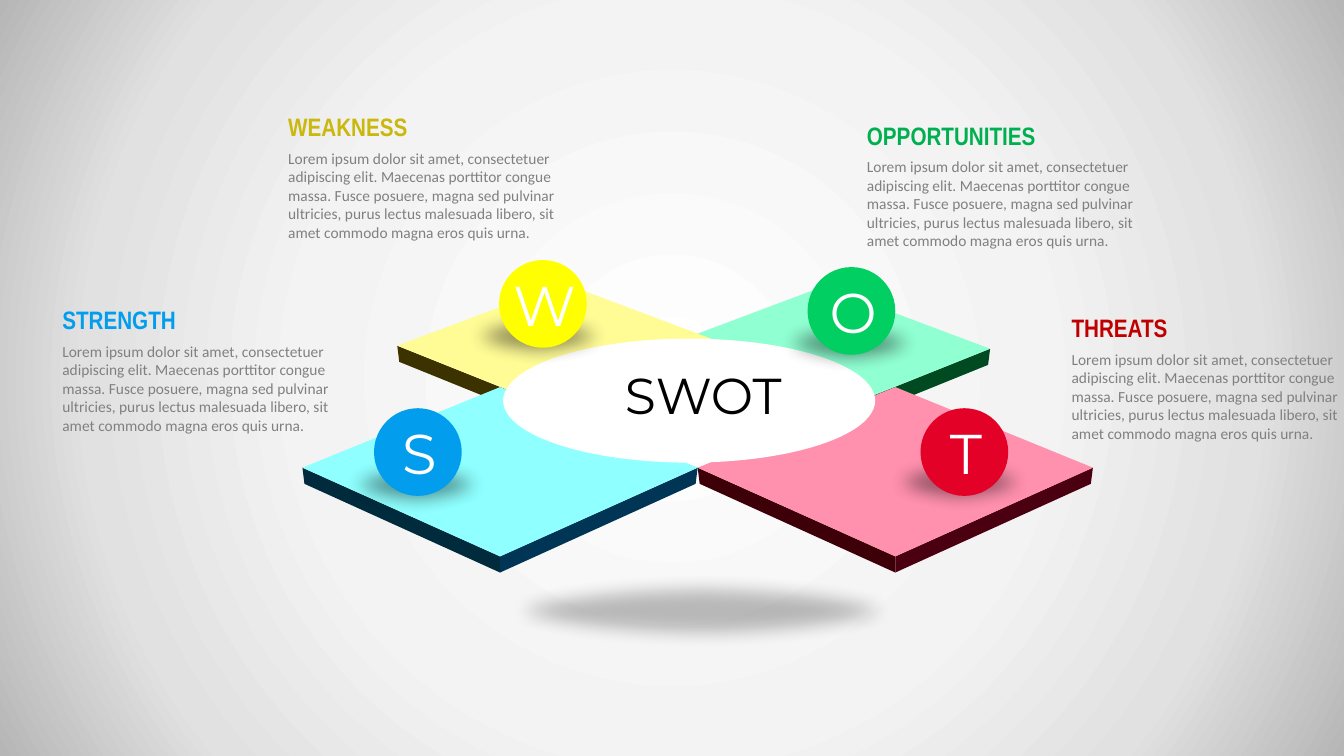
"""Build a SWOT slide with four solid tiles, lettered badges and descriptions."""
from dataclasses import dataclass

import pptx
import pptx.dml.color
import pptx.enum.shapes
import pptx.enum.text
import pptx.oxml
import pptx.oxml.ns
import pptx.util

Inches = pptx.util.Inches
Point = tuple[float, float]
OVAL = pptx.enum.shapes.MSO_SHAPE.OVAL
BLURB = ("Lorem ipsum dolor sit amet, consectetuer adipiscing elit. Maecenas porttitor "
         "congue massa. Fusce posuere, magna sed pulvinar ultricies, purus lectus malesuada "
         "libero, sit amet commodo magna eros quis urna.")


@dataclass(frozen=True)
class Theme:
    """Colours, fonts and type sizes of the slide."""
    white: str = "FFFFFF"
    black: str = "000000"
    grey: str = "808080"
    backdrop: tuple = ((0, "FFFFFF"), (48, "F3F3F3"), (76, "E1E1E1"), (100, "B6B6B6"))
    display: str = "Montserrat"
    heading: str = "Arial Narrow"
    body: str = "Calibri"
    letter_size: int = 40
    title_size: int = 36
    heading_size: int = 18
    body_size: int = 11


@dataclass(frozen=True)
class TileSize:
    """Reach of a tile from its middle to its corners, and its thickness."""
    half: float
    back: float
    front: float
    depth: float


@dataclass(frozen=True)
class Quadrant:
    """One SWOT field: its tile, badge, shadow and note."""
    name: str
    middle: Point
    size: TileSize
    top: str
    left_side: str
    right_side: str
    badge: Point
    badge_color: str
    shadow: Point
    note: Point
    note_color: str
    note_width: float = 1.57


THEME = Theme()
FAR = TileSize(1.65, 0.62, 0.66, 0.16)
NEAR = TileSize(1.96, 0.8, 0.88, 0.16)
QUADRANTS = (
    Quadrant("OPPORTUNITIES", (8.17, 3.46), FAR, "90FFD2", "00391A", "004A22",
             (8.01, 2.65), "01CF62", (7.52, 3.08), (8.5, 1.14), "00B050", 2.33),
    Quadrant("WEAKNESS", (5.59, 3.43), FAR, "FFFC96", "3B3200", "4A4000",
             (4.95, 2.58), "FFFF00", (4.43, 3.01), (2.76, 1.06), "CAB80C"),
    Quadrant("STRENGTH", (4.96, 4.64), NEAR, "8FFFFF", "002B3D", "003556",
             (3.71, 4.05), "029EED", (3.22, 4.48), (0.52, 2.97), "029EED"),
    Quadrant("THREATS", (8.88, 4.64), NEAR, "FF90AE", "3D0008", "4A0010",
             (9.13, 4.05), "E30127", (8.61, 4.46), (10.53, 3.05), "C00000"),
)


def paint(sp, color: str) -> None:
    """Give a shape a flat fill without line or shadow."""
    sp.fill.solid()
    sp.fill.fore_color.rgb = pptx.dml.color.RGBColor.from_string(color)
    sp.line.fill.background()
    sp.shadow.inherit = False


def add_oval(shapes, at: Point, size: Point, color: str):
    """Add a plain ellipse."""
    sp = shapes.add_shape(OVAL, *map(Inches, at + size))
    paint(sp, color)
    return sp


def add_shadow(shapes, at: Point, size: Point, alpha: int, blur: float) -> None:
    """Add a translucent black ellipse with soft edges."""
    sp = add_oval(shapes, at, size, THEME.black)
    ns = pptx.oxml.ns
    color = sp._element.spPr.find(ns.qn("a:solidFill"))[0]
    color.append(pptx.oxml.parse_xml(f'<a:alpha {ns.nsdecls("a")} val="{alpha * 1000}"/>'))
    effects = sp._element.spPr.find(ns.qn("a:effectLst"))
    effects.append(pptx.oxml.parse_xml(
        f'<a:softEdge {ns.nsdecls("a")} rad="{Inches(blur)}"/>'))


def add_text(shapes, text: str, *, at: Point, size: Point, font: str, points: int,
             color: str, bold: bool = False, centered: bool = False) -> None:
    """Add a text box holding one formatted paragraph."""
    tf = shapes.add_textbox(*map(Inches, at + size)).text_frame
    tf.word_wrap = True
    p = tf.paragraphs[0]
    if centered:
        p.alignment = pptx.enum.text.PP_ALIGN.CENTER
    r = p.add_run()
    r.text = text
    r.font.name, r.font.size, r.font.bold = font, pptx.util.Pt(points), bold
    r.font.color.rgb = pptx.dml.color.RGBColor.from_string(color)


def add_face(shapes, corners: list[Point], color: str) -> None:
    """Add one flat face of a tile."""
    points = [(Inches(x), Inches(y)) for x, y in corners]
    builder = shapes.build_freeform(*points[0])
    builder.add_line_segments(points[1:])
    paint(builder.convert_to_shape(), color)


def add_tile(shapes, quadrant: Quadrant) -> None:
    """Add a tile as two sides and a top."""
    (x, y), size = quadrant.middle, quadrant.size
    left, right = (x - size.half, y), (x + size.half, y)
    back, front = (x, y - size.back), (x, y + size.front)
    base = (x, front[1] + size.depth)
    for corner, inset, color in ((left, 0.02, quadrant.left_side),
                                 (right, -0.02, quadrant.right_side)):
        foot = (corner[0] + inset, y + size.depth)
        add_face(shapes, [corner, front, base, foot], color)
    add_face(shapes, [left, back, right, front], quadrant.top)


def add_badge(shapes, quadrant: Quadrant) -> None:
    """Add the round badge with the initial of the field."""
    group = shapes.add_group_shape().shapes
    x, y = quadrant.badge
    add_oval(group, (x, y), (0.87, 0.87), quadrant.badge_color)
    add_text(group, quadrant.name[0], at=(x - 0.02, y + 0.05), size=(0.94, 0.77),
             font=THEME.display, points=THEME.letter_size, color=THEME.white, centered=True)


def add_note(shapes, quadrant: Quadrant) -> None:
    """Add the heading and description of the field."""
    group = shapes.add_group_shape().shapes
    x, y = quadrant.note
    add_text(group, quadrant.name, at=(x, y), size=(quadrant.note_width, 0.4),
             font=THEME.heading, points=THEME.heading_size, color=quadrant.note_color, bold=True)
    add_text(group, BLURB, at=(x, y + 0.37), size=(3.07, 1.21),
             font=THEME.body, points=THEME.body_size, color=THEME.grey)


def set_backdrop(slide) -> None:
    """Fill the background with a circular gradient."""
    fill = slide.background.fill
    fill.solid()
    stops = "".join(f'<a:gs pos="{pos * 1000}"><a:srgbClr val="{color}"/></a:gs>'
                    for pos, color in THEME.backdrop)
    gradient = pptx.oxml.parse_xml(
        f'<a:gradFill {pptx.oxml.ns.nsdecls("a")} rotWithShape="1"><a:gsLst>{stops}</a:gsLst>'
        '<a:path path="circle"><a:fillToRect l="50000" t="50000" r="50000" b="50000"/>'
        '</a:path></a:gradFill>')
    solid = next(slide._element.iter(pptx.oxml.ns.qn("a:solidFill")))
    solid.getparent().replace(solid, gradient)


def main() -> None:
    """Build and save the slide."""
    prs = pptx.Presentation()
    prs.slide_width, prs.slide_height = Inches(13.33), Inches(7.5)
    slide = prs.slides.add_slide(prs.slide_layouts[6])
    shapes = slide.shapes
    set_backdrop(slide)
    add_shadow(shapes, (4.77, 5.67), (4.38, 0.77), 26, 0.18)
    for quadrant in QUADRANTS:
        add_tile(shapes, quadrant)
    add_oval(shapes, (4.99, 3.36), (3.69, 1.23), THEME.white)
    for quadrant in QUADRANTS:
        add_shadow(shapes, quadrant.shadow, (1.81, 0.65), 44, 0.18)
    for quadrant in QUADRANTS:
        add_badge(shapes, quadrant)
    add_text(shapes, "SWOT", at=(5.95, 3.56), size=(2.05, 0.71), font=THEME.display,
             points=THEME.title_size, color=THEME.black, centered=True)
    for quadrant in QUADRANTS:
        add_note(shapes, quadrant)
    prs.save("out.pptx")


main()
